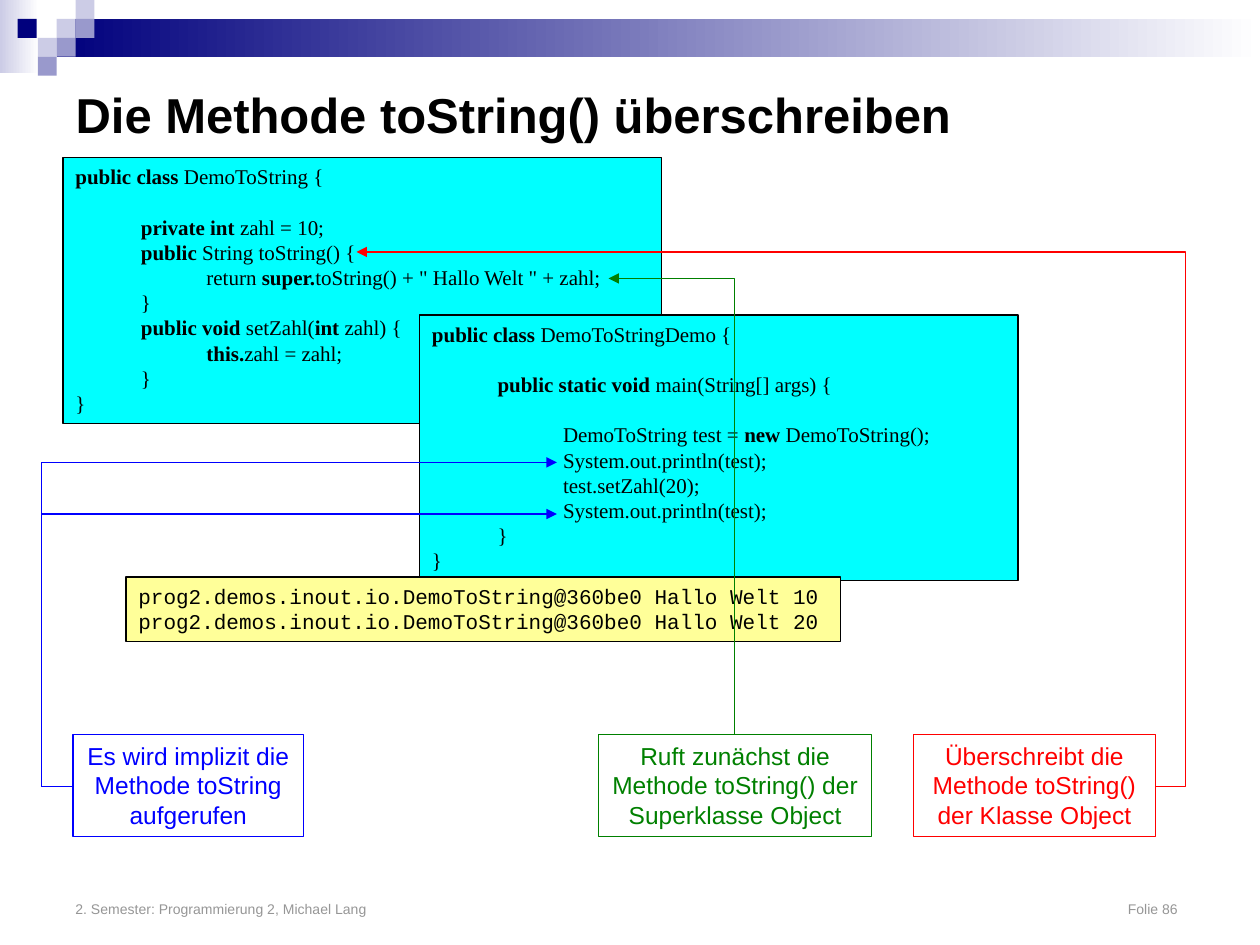
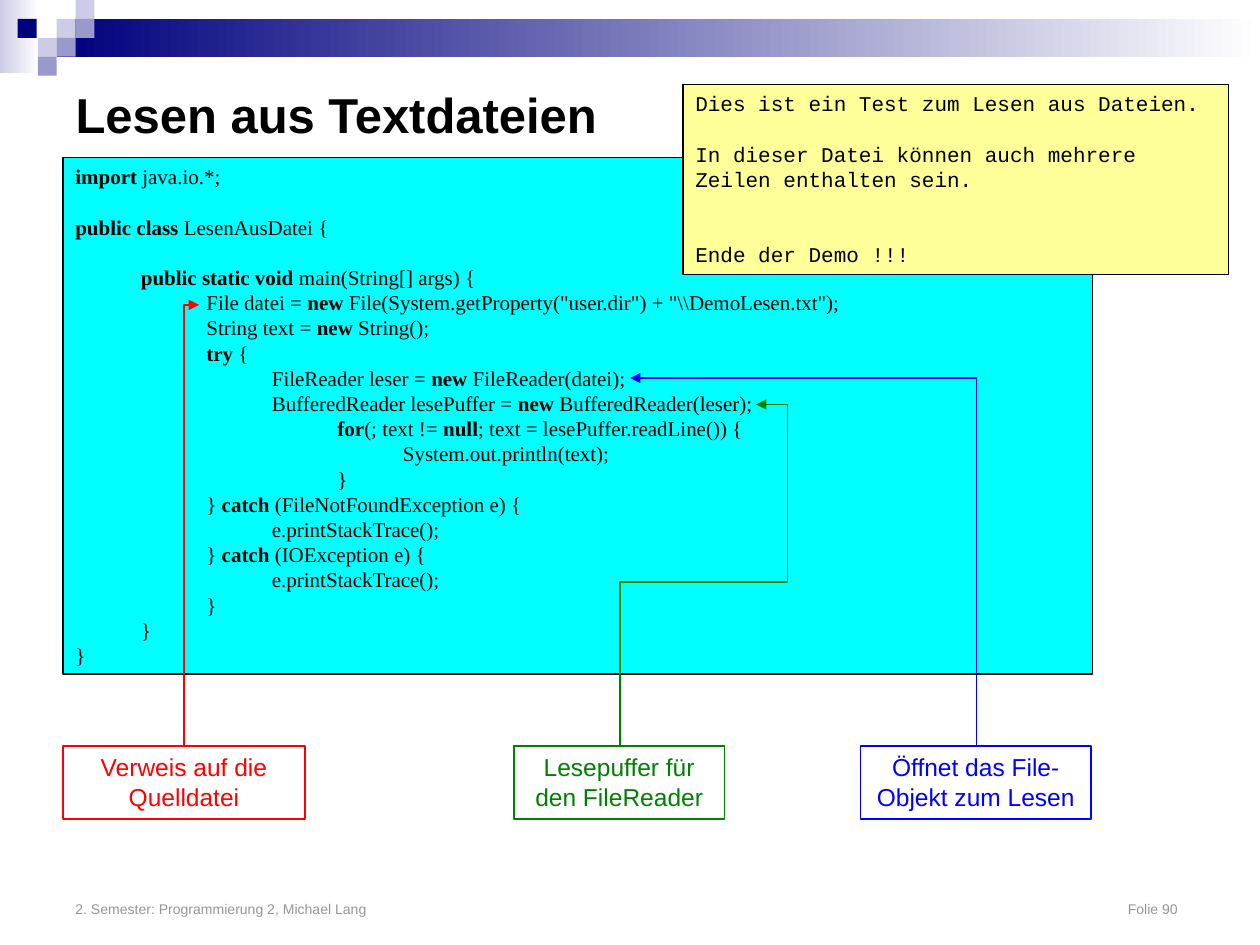
from lxml.etree import SubElement
from pptx import Presentation
from pptx.dml.color import RGBColor
from pptx.enum.shapes import MSO_CONNECTOR as Connector, MSO_SHAPE as Shape
from pptx.enum.text import MSO_ANCHOR as Anchor, MSO_AUTO_SIZE as AutoSize, PP_ALIGN as Align
from pptx.oxml.ns import qn
from pptx.util import Inches, Pt

BLACK = RGBColor(0, 0, 0)
GRAY = RGBColor(0x96, 0x96, 0x96)
WHITE = RGBColor(0xFF, 0xFF, 0xFF)
CYAN = RGBColor(0, 0xFF, 0xFF)
YELLOW = RGBColor(0xFF, 0xFF, 0x99)
RED = RGBColor(0xFF, 0, 0)
GREEN = RGBColor(0, 0x80, 0)
BLUE = RGBColor(0, 0, 0xFF)
NAVY = RGBColor(0, 0, 0x7D)
LAVENDER = RGBColor(0xCC, 0xCC, 0xE6)
VIOLET = RGBColor(0x99, 0x99, 0xCC)

SANS, SERIF, MONO = "Arial", "Times New Roman", "Courier New"
FOOTER = "2. Semester: Programmierung 2, Michael Lang"
BLANK_LINE = 14.4
CODE_TABS = [(0.52 * level, "l") for level in range(1, 6)]
FOOTER_TABS = [(8.75, "r")]

BANDS = [
    ((0, 0, 0.31, 0.58), LAVENDER),
    ((0.45, 0.15, 9.55, 0.3), NAVY),
]
TILE = 0.15
TILES = [
    (0.45, 0.15, LAVENDER), (0.6, 0, LAVENDER), (0.6, 0.15, VIOLET),
    (0.3, 0.3, LAVENDER), (0.14, 0.15, NAVY), (0.45, 0.3, VIOLET),
    (0.3, 0.45, VIOLET),
]

DEMO_CLASS = [
    (0, "|public class |DemoToString {"),
    (0, ""),
    (1, "|private int |zahl = 10;"),
    (1, "|public |String toString() {"),
    (2, 'return |super.|toString() + " Hallo Welt " + zahl;'),
    (1, "}"),
    (1, "|public void |setZahl(|int |zahl) {"),
    (2, "|this.|zahl = zahl;"),
    (1, "}"),
    (0, "}"),
]
DEMO_MAIN = [
    (0, "|public class |DemoToStringDemo {"),
    (0, ""),
    (1, "|public static void |main(String[] args) {"),
    (0, ""),
    (2, "DemoToString test = |new |DemoToString();"),
    (2, "System.out.println(test);"),
    (2, "test.setZahl(20);"),
    (2, "System.out.println(test);"),
    (1, "}"),
    (0, "}"),
]
READER_CLASS = [
    (0, "|import| java.io.*;"),
    (0, ""),
    (0, "|public class |LesenAusDatei {"),
    (0, ""),
    (1, "|public static void |main(String[] args) {"),
    (2, r'File datei = |new |File(System.getProperty("user.dir") + "\\DemoLesen.txt");'),
    (2, "String text = |new| String();"),
    (2, "|try| {"),
    (3, "FileReader leser = |new |FileReader(datei);"),
    (3, "BufferedReader lesePuffer = |new |BufferedReader(leser);"),
    (4, "|for|(; text != |null|; text = lesePuffer.readLine()) {"),
    (5, "System.out.println(text);"),
    (4, "}"),
    (2, "} |catch |(FileNotFoundException e) {"),
    (3, "e.printStackTrace();"),
    (2, "} |catch| (IOException e) {"),
    (3, "e.printStackTrace();"),
    (2, "}"),
    (1, "}"),
    (0, "}"),
]

SLIDES = [
    {
        "title": "Die Methode toString() überschreiben",
        "number": 86,
        "code": [((0.5, 1.25, 4.75, 2.11), DEMO_CLASS), ((3.33, 2.5, 4.75, 2.11), DEMO_MAIN)],
        "console": ((1, 4.58, 5.67, 0.51), [
            "prog2.demos.inout.io.DemoToString@360be0 Hallo Welt 10",
            "prog2.demos.inout.io.DemoToString@360be0 Hallo Welt 20",
        ]),
        "callouts": [
            ((0.58, 5.83, 1.83, 0.81), "Es wird implizit die Methode toString aufgerufen", BLUE),
            ((7.25, 5.83, 1.92, 0.81), "Überschreibt die Methode toString() der Klasse Object", RED),
            ((4.75, 5.83, 2.17, 0.81), "Ruft zunächst die Methode toString() der Superklasse Object", GREEN),
        ],
        "arrows": [
            ((2.83, 2), (9.17, 6.24), [9.41], RED),
            ((4.42, 3.67), (0.58, 6.24), [0.33], BLUE),
            ((4.42, 4.08), (0.58, 6.24), [0.33], BLUE),
            ((4.83, 2.21), (5.83, 5.83), [], GREEN),
        ],
    },
    {
        "title": "Lesen aus Textdateien",
        "number": 90,
        "code": [((0.5, 1.25, 8.17, 4.1), READER_CLASS)],
        "console": ((5.42, 0.67, 4.33, 1.51), [
            "Dies ist ein Test zum Lesen aus Dateien.",
            "",
            "In dieser Datei können auch mehrere Zeilen enthalten sein.",
            "",
            "",
            "Ende der Demo !!!",
        ]),
        "callouts": [
            ((6.83, 5.92, 1.83, 0.58), "Öffnet das File-Objekt zum Lesen", BLUE),
            ((0.5, 5.92, 1.92, 0.58), "Verweis auf die Quelldatei", RED),
            ((4.08, 5.92, 1.67, 0.58), "Lesepuffer für den FileReader", GREEN),
        ],
        "arrows": [
            ((1.58, 2.42), (1.46, 5.92), [], RED),
            ((6, 3.21), (4.92, 5.92), [6.25, 4.62], GREEN),
            ((5, 3), (7.75, 5.92), [], BLUE),
        ],
    },
]


def write_text(shape, lines, font=SANS, size=12, color=BLACK, bold=False,
               align=Align.LEFT, anchor=Anchor.TOP, tabs=(), auto_size=AutoSize.NONE):
    frame = shape.text_frame
    frame.word_wrap = True
    frame.auto_size = auto_size
    frame.vertical_anchor = anchor
    blanks = 0
    paragraph = None
    for line in lines:
        if not line:
            blanks += 1
            continue
        paragraph = frame.add_paragraph() if paragraph else frame.paragraphs[0]
        paragraph.alignment = align
        paragraph.space_before = Pt(BLANK_LINE * blanks)
        blanks = 0
        if tabs:
            tab_list = SubElement(paragraph._p.get_or_add_pPr(), qn("a:tabLst"))
            for position, side in tabs:
                SubElement(tab_list, qn("a:tab"), pos=str(Inches(position)), algn=side)
        for index, part in enumerate(line.split("|")):
            if part:
                run = paragraph.add_run()
                run.text = part
                run.font.name = font
                run.font.size = Pt(size)
                run.font.bold = bold or index % 2 == 1
                run.font.color.rgb = color


def add_box(slide, place, fill=None, line=None):
    shape = slide.shapes.add_shape(Shape.RECTANGLE, *map(Inches, place))
    shape.shadow.inherit = False
    if fill is None:
        shape.fill.background()
    else:
        shape.fill.solid()
        shape.fill.fore_color.rgb = fill
    if line is None:
        shape.line.fill.background()
    else:
        shape.line.color.rgb = line
        shape.line.width = Pt(0.75)
    return shape


def add_arrow(slide, tip, start, bends, color):
    connector = slide.shapes.add_connector(Connector.ELBOW, *map(Inches, tip + start))
    connector.line.color.rgb = color
    connector.line.width = Pt(0.75)
    properties = connector._element.spPr
    geometry = properties.find(qn("a:prstGeom"))
    geometry.set("prst", f"bentConnector{len(bends) + 2}")
    guides = geometry.find(qn("a:avLst"))
    for index, bend in enumerate(bends):
        axis = index % 2
        share = (bend - tip[axis]) / (start[axis] - tip[axis])
        SubElement(guides, qn("a:gd"), name=f"adj{index + 1}", fmla=f"val {round(share * 100000)}")
    SubElement(connector.line._get_or_add_ln(), qn("a:headEnd"), type="triangle")
    SubElement(properties, qn("a:effectLst"))


def add_frame(slide, title, number):
    for place, color in BANDS:
        band = add_box(slide, place, color)
        band.fill.gradient()
        band.fill.gradient_angle = 0
        for stop, stop_color in zip(band.fill.gradient_stops, (color, WHITE)):
            stop.color.rgb = stop_color
    for left, top, color in TILES:
        add_box(slide, (left, top, TILE, TILE), color)
    footer = slide.shapes.add_textbox(*map(Inches, (0.5, 6.83, 9, 0.5)))
    write_text(footer, [f"{FOOTER}\tFolie {number}"], size=8, color=GRAY,
               anchor=Anchor.BOTTOM, tabs=FOOTER_TABS)
    heading = slide.shapes.title
    heading.left, heading.top, heading.width, heading.height = map(Inches, (0.5, 0.5, 9, 0.81))
    write_text(heading, [title], size=28, bold=True, anchor=Anchor.MIDDLE)


def build_slide(presentation, content):
    slide = presentation.slides.add_slide(presentation.slide_layouts[5])
    add_frame(slide, content["title"], content["number"])
    for place, code in content["code"]:
        lines = [text and "\t" * level + text for level, text in code]
        write_text(add_box(slide, place, CYAN, BLACK), lines, font=SERIF, tabs=CODE_TABS,
                   auto_size=AutoSize.SHAPE_TO_FIT_TEXT)
    place, lines = content["console"]
    write_text(add_box(slide, place, YELLOW, BLACK), lines, font=MONO,
               auto_size=AutoSize.SHAPE_TO_FIT_TEXT)
    for place, text, color in content["callouts"]:
        write_text(add_box(slide, place, line=color), [text], size=14, color=color,
                   align=Align.CENTER, auto_size=AutoSize.SHAPE_TO_FIT_TEXT)
    for arrow in content["arrows"]:
        add_arrow(slide, *arrow)


def main():
    presentation = Presentation()
    presentation.slide_width, presentation.slide_height = Inches(10), Inches(7.5)
    for content in SLIDES:
        build_slide(presentation, content)
    presentation.save("out.pptx")


if __name__ == "__main__":
    main()
